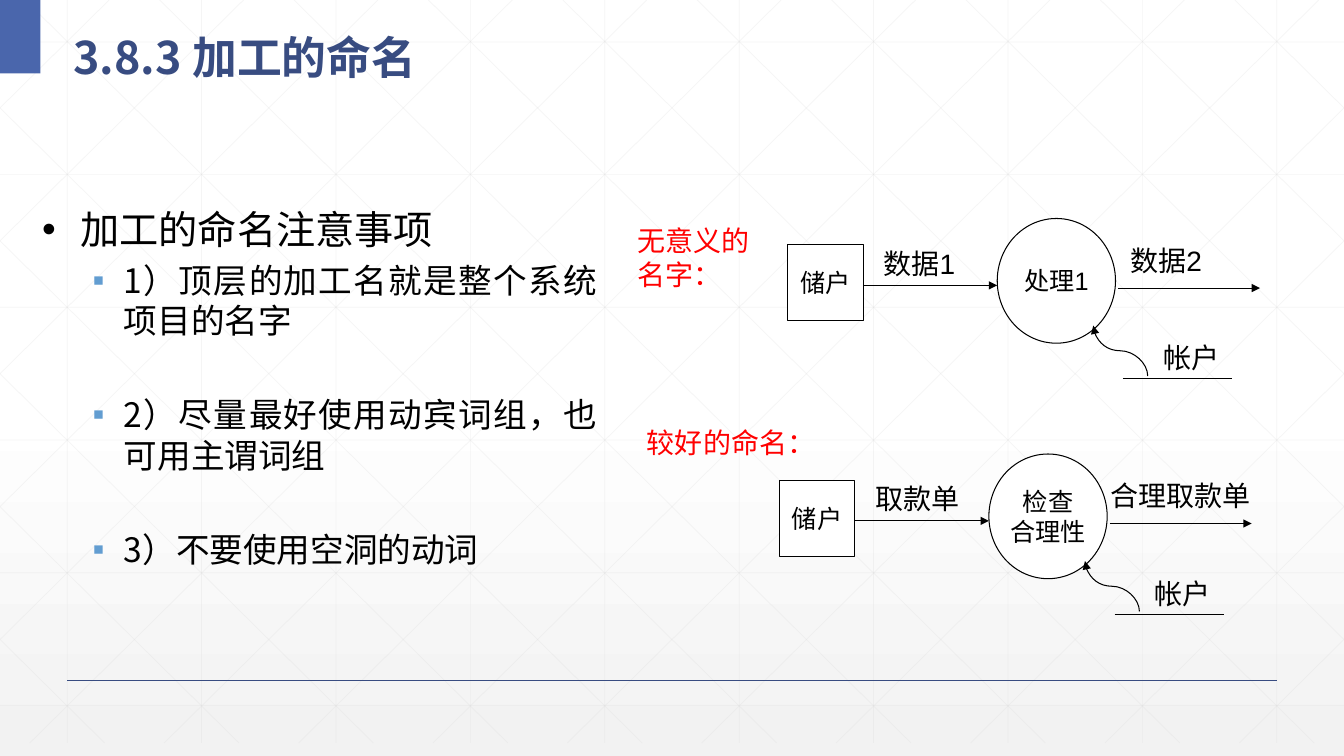
from dataclasses import dataclass

from lxml.etree import SubElement
from pptx import Presentation
from pptx.dml.color import RGBColor
from pptx.enum.shapes import MSO_CONNECTOR, MSO_SHAPE
from pptx.enum.text import MSO_ANCHOR, PP_ALIGN
from pptx.oxml.ns import qn
from pptx.util import Emu, Inches, Pt

WIDE, HIGH = Inches(13.33), Inches(7.5)
SANS, ARIAL = "Noto Sans CJK SC", "Arial"
BLACK, WHITE, RED, NAVY, BLUE = "000000", "FFFFFF", "FF0000", "384C81", "4A66AC"


@dataclass
class Box:
    """An area in percent of the slide's width and height."""
    left: float
    top: float
    width: float
    height: float

    def move(self, right: float, down: float) -> "Box":
        """Return the area shifted by the given percents."""
        return Box(self.left + right, self.top + down, self.width, self.height)

    def emu(self) -> tuple[Emu, Emu, Emu, Emu]:
        """Return the area in slide units."""
        return col(self.left), row(self.top), col(self.width), row(self.height)


@dataclass
class Flow:
    """A data flow diagram with its caption and labels."""
    right: float
    down: float
    title: str
    area: Box
    enter: str
    task: list[str]
    leave: str
    gap: float


@dataclass
class Point:
    """A line of the body list."""
    text: str
    size: int
    pitch: int
    space: float
    margin: float
    hang: float
    mark: str
    color: str


FLOWS = [
    Flow(0, 0, "无意义的名字：", Box(46.7, 28.9, 11.25, 10.3), "数据1", ["处理1"], "数据2", 0.85),
    Flow(-0.62, 31.15, "较好的命名：", Box(47.4, 55.6, 14.2, 5.7), "取款单", ["检查", "合理性"], "合理取款单", 0),
]
SUBS = ["1）顶层的加工名就是整个系统项目的名字", "2）尽量最好使用动宾词组，也可用主谓词组", "3）不要使用空洞的动词"]
POINTS = [Point("加工的命名注意事项", 28, 36, 0, 0.38, 0.38, "•", BLACK)] + [
    Point(text, 24, 29, 38 if index else 4.8, 0.81, 0.31, "▪", "629DD1") for index, text in enumerate(SUBS)
]


def col(share: float) -> Emu:
    """Turn a percent of the width into a length."""
    return Emu(round(WIDE * share / 100))


def row(share: float) -> Emu:
    """Turn a percent of the height into a length."""
    return Emu(round(HIGH * share / 100))


def paint(target, color: str) -> None:
    """Fill a shape, line or font with a solid hex colour."""
    fill = target if hasattr(target, "solid") else target.fill
    fill.solid()
    fill.fore_color.rgb = RGBColor.from_string(color)


def style(para, size: float, color: str, face: str = ARIAL, bold: bool = False) -> None:
    """Set the font of a paragraph and of its Chinese characters."""
    font = para.font
    font.size, font.name, font.bold = Pt(size), face, bold
    paint(font, color)
    SubElement(font._element, qn("a:ea")).set("typeface", SANS)


def link(slide, x1: float, y1: float, x2: float, y2: float, color: str = BLACK, width: float = 0.75,
         arrow: bool = False, alpha: int = 100, kind=MSO_CONNECTOR.STRAIGHT):
    """Draw a connector between two points."""
    line = slide.shapes.add_connector(kind, col(x1), row(y1), col(x2), row(y2))
    paint(line.line, color)
    line.line.width = Pt(width)
    edge = line.line._get_or_add_ln()
    if alpha < 100:
        SubElement(edge.find(".//" + qn("a:srgbClr")), qn("a:alpha")).set("val", str(alpha * 1000))
    if arrow:
        SubElement(edge, qn("a:tailEnd")).set("type", "triangle")
    SubElement(line._element.spPr, qn("a:effectLst"))
    return line


def label(slide, area: Box, text: str, color: str = BLACK) -> None:
    """Write a diagram label."""
    frame = slide.shapes.add_textbox(*area.emu()).text_frame
    frame.word_wrap = True
    frame.text = text
    style(frame.paragraphs[0], 20, color)


def node(slide, kind, area: Box, lines: list[str]) -> None:
    """Draw an outlined diagram shape with centred text."""
    shape = slide.shapes.add_shape(kind, *area.emu())
    shape.shadow.inherit = False
    paint(shape, WHITE)
    paint(shape.line, BLACK)
    shape.line.width = Pt(0.75)
    frame = shape.text_frame
    frame.word_wrap = False
    frame.vertical_anchor = MSO_ANCHOR.MIDDLE
    frame.text = "\n".join(lines)
    for para in frame.paragraphs:
        para.alignment = PP_ALIGN.CENTER
        style(para, 18, BLACK)


def mesh(slide) -> None:
    """Draw the faint grid with its clipped diagonals."""
    end, run = 98.27, 55.9
    ways = [(5 + 10 * k, 0, 5 + 10 * k, end) for k in range(10)]
    ways += [(0, 5.55 + 17.55 * k, 100, 5.55 + 17.55 * k) for k in range(6)]
    for k in range(-5, 10):
        start = 1.88 + 10 * k
        x1, x2 = max(start, 0), min(start + run, 100)
        y1, y2 = ((x - start) * end / run for x in (x1, x2))
        ways += [(x1, y1, x2, y2), (100 - x1, y1, 100 - x2, y2)]
    for way in ways:
        link(slide, *way, color="D9D9D9", width=0.5, alpha=25)


def base(slide) -> None:
    """Draw the background, footer rule, corner block and title."""
    fill = slide.background.fill
    fill.gradient()
    fill.gradient_angle = 270
    for stop, place, color in zip(fill.gradient_stops, (0.53, 1), (WHITE, "F2F2F2")):
        stop.position = place
        stop.color.rgb = RGBColor.from_string(color)
    mesh(slide)
    link(slide, 5, 90, 95, 90, NAVY, 1)
    block = slide.shapes.add_shape(MSO_SHAPE.RECTANGLE, *Box(0, 0, 3, 9.73).emu())
    block.shadow.inherit = False
    paint(block, BLUE)
    block.line.fill.background()
    frame = slide.shapes.add_textbox(*Box(4.73, 1.6, 87.45, 9.73).emu()).text_frame
    frame.word_wrap = True
    frame.vertical_anchor = MSO_ANCHOR.MIDDLE
    frame.text = "3.8.3 加工的命名"
    frame.paragraphs[0].line_spacing = 1.3
    style(frame.paragraphs[0], 32, NAVY, SANS, True)


def draw(slide, flow: Flow) -> None:
    """Draw one data flow diagram."""
    dx, dy = flow.right, flow.down
    node(slide, MSO_SHAPE.FLOWCHART_PROCESS, Box(58.6, 32.4, 5.63, 10).move(dx, dy), ["储户"])
    node(slide, MSO_SHAPE.FLOWCHART_CONNECTOR, Box(74.2, 28.9, 8.8, 16.5).move(dx, dy), flow.task)
    for x1, x2, y, arrow in [(83.55, 91.7, 50.1, False), (64.2, 74.2, 37.75, True), (83.2, 93.75, 38.1, True)]:
        link(slide, x1 + dx, y + dy, x2 + dx, y + dy, arrow=arrow)
    curve = link(slide, 85.25 + dx, 42.8 + dy, 81.5 + dx, 50 + dy, arrow=True, kind=MSO_CONNECTOR.CURVE)
    curve._element.spPr.find(qn("a:xfrm")).set("rot", "5400000")
    label(slide, Box(85.8, 44.4, 7.3, 5.7).move(dx, dy), "帐户")
    label(slide, Box(65, 31.9, 8.25, 5.7).move(dx, dy), flow.enter)
    label(slide, Box(82.5, 31.5, 13, 5.7).move(dx + flow.gap, dy), flow.leave)
    label(slide, flow.area, flow.title, RED)


def notes(slide) -> None:
    """Write the bulleted list."""
    frame = slide.shapes.add_textbox(*Box(2.4, 26.1, 42.8, 54.8).emu()).text_frame
    frame.word_wrap = True
    frame.text = "\n".join(point.text for point in POINTS)
    for para, point in zip(frame.paragraphs, POINTS):
        para.alignment = PP_ALIGN.JUSTIFY
        para.line_spacing, para.space_before = Pt(point.pitch), Pt(point.space)
        props = para._p.get_or_add_pPr()
        props.set("marL", str(Inches(point.margin)))
        props.set("indent", str(-Inches(point.hang)))
        SubElement(SubElement(props, qn("a:buClr")), qn("a:srgbClr")).set("val", point.color)
        SubElement(props, qn("a:buFont")).set("typeface", ARIAL)
        SubElement(props, qn("a:buChar")).set("char", point.mark)
        style(para, point.size, BLACK, SANS)


def main() -> None:
    """Build and save the slide."""
    deck = Presentation()
    deck.slide_width, deck.slide_height = WIDE, HIGH
    slide = deck.slides.add_slide(deck.slide_layouts[6])
    base(slide)
    for flow in FLOWS:
        draw(slide, flow)
    notes(slide)
    deck.save("out.pptx")


if __name__ == "__main__":
    main()
